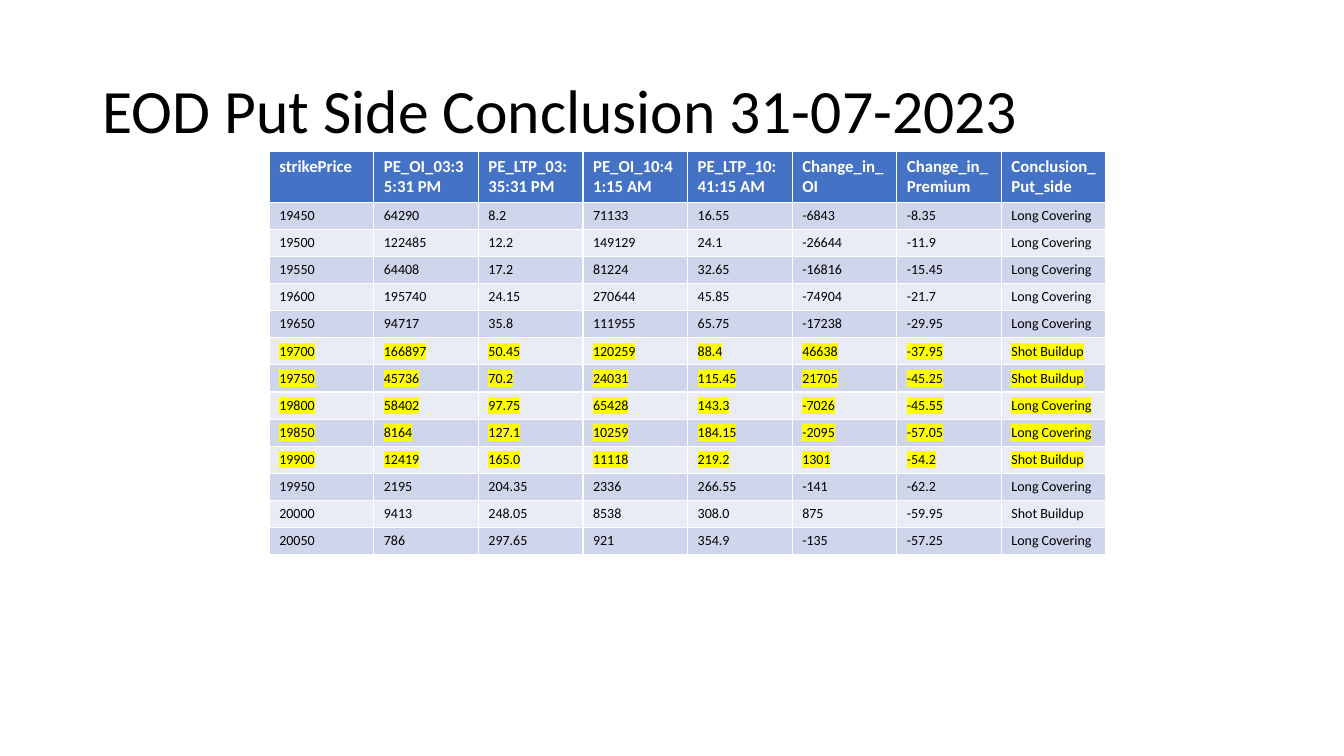
from lxml import etree
from pptx import Presentation
from pptx.dml.color import RGBColor as RGB
from pptx.enum.text import MSO_ANCHOR as ANCHOR, MSO_AUTO_SIZE as AUTO, PP_ALIGN as ALIGN
from pptx.oxml.ns import qn
from pptx.util import Inches, Pt

COLORS = {"text": "000000", "header_text": "FFFFFF", "header": "4472C4",
          "odd": "CFD5EA", "even": "E9EBF5", "highlight": "FFFF00"}
HEADERS = ["strikePrice", "PE_OI_03:35:31 PM", "PE_LTP_03:35:31 PM",
           "PE_OI_10:41:15 AM", "PE_LTP_10:41:15 AM", "Change_in_OI",
           "Change_in_Premium", "Conclusion_Put_side"]
LONG, SHOT = "Long Covering", "Shot Buildup"
ROWS = [
    ["19450", "64290", "8.2", "71133", "16.55", "-6843", "-8.35", LONG],
    ["19500", "122485", "12.2", "149129", "24.1", "-26644", "-11.9", LONG],
    ["19550", "64408", "17.2", "81224", "32.65", "-16816", "-15.45", LONG],
    ["19600", "195740", "24.15", "270644", "45.85", "-74904", "-21.7", LONG],
    ["19650", "94717", "35.8", "111955", "65.75", "-17238", "-29.95", LONG],
    ["19700", "166897", "50.45", "120259", "88.4", "46638", "-37.95", SHOT],
    ["19750", "45736", "70.2", "24031", "115.45", "21705", "-45.25", SHOT],
    ["19800", "58402", "97.75", "65428", "143.3", "-7026", "-45.55", LONG],
    ["19850", "8164", "127.1", "10259", "184.15", "-2095", "-57.05", LONG],
    ["19900", "12419", "165.0", "11118", "219.2", "1301", "-54.2", SHOT],
    ["19950", "2195", "204.35", "2336", "266.55", "-141", "-62.2", LONG],
    ["20000", "9413", "248.05", "8538", "308.0", "875", "-59.95", SHOT],
    ["20050", "786", "297.65", "921", "354.9", "-135", "-57.25", LONG],
]
HIGHLIGHTED = {"19700", "19750", "19800", "19850", "19900"}


def add_run(p, text, color, **fmt):
    r = p.add_run()
    r.text = text
    for name, value in {"name": "Calibri", **fmt}.items():
        setattr(r.font, name, value)
    r.font.color.rgb = RGB.from_string(COLORS[color])
    return r


def highlight(r):
    mark = etree.Element(qn("a:highlight"))
    etree.SubElement(mark, qn("a:srgbClr"), val=COLORS["highlight"])
    r.font._element.find(qn("a:solidFill")).addnext(mark)


prs = Presentation()
prs.slide_width, prs.slide_height = Inches(13.33), Inches(7.5)
s = prs.slides.add_slide(prs.slide_layouts[5])

title = s.shapes.title
box = {"left": 0.92, "top": 0.4, "width": 11.5, "height": 1.45}
for name, value in box.items():
    setattr(title, name, Inches(value))
tf = title.text_frame
for name, value in {"word_wrap": True, "auto_size": AUTO.NONE,
                    "vertical_anchor": ANCHOR.MIDDLE}.items():
    setattr(tf, name, value)
p = tf.paragraphs[0]
p.alignment, p.line_spacing = ALIGN.LEFT, 0.9
add_run(p, "EOD Put Side Conclusion 31-07-2023", "text", size=Pt(44))

frame = s.shapes.add_table(len(ROWS) + 1, len(HEADERS), Inches(2.67), Inches(1.5),
                           Inches(8.3), Inches(3.97))
table = frame.table
for row in table.rows:
    row.height = Inches(0.14)
frame.height = Inches(3.97)

for i, values in enumerate([HEADERS] + ROWS):
    if i == 0:
        fill, color, size = "header", "header_text", 12
    else:
        fill, color, size = "odd" if i % 2 else "even", "text", 10
    for j, value in enumerate(values):
        cell = table.cell(i, j)
        cell.fill.solid()
        cell.fill.fore_color.rgb = RGB.from_string(COLORS[fill])
        r = add_run(cell.text_frame.paragraphs[0], value, color, size=Pt(size), bold=i == 0)
        if values[0] in HIGHLIGHTED:
            highlight(r)

prs.save("out.pptx")
